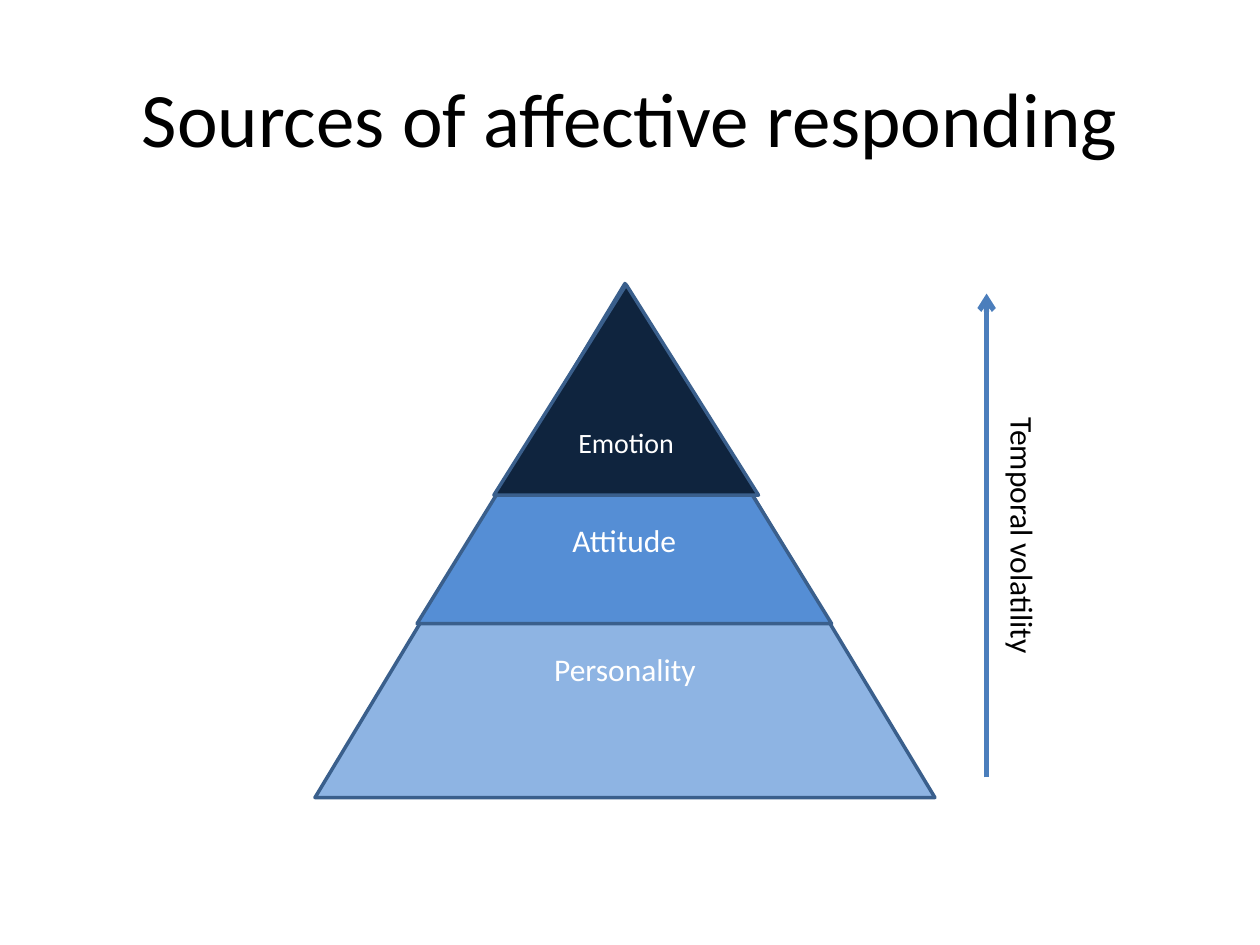
from dataclasses import dataclass

import pptx
import pptx.util
import pptx.dml.color
import pptx.enum.shapes
import pptx.enum.text
import pptx.oxml.ns
from lxml import etree

Inches = pptx.util.Inches
Pt = pptx.util.Pt


@dataclass(frozen=True)
class Theme:
    font: str = "Calibri"
    ink: str = "000000"
    on_fill: str = "FFFFFF"
    outline: str = "3A5F8C"
    arrow: str = "4B7EBC"
    title_size: int = 44
    label_size: int = 18
    small_size: int = 16
    outline_width: int = 2
    arrow_width: int = 3


@dataclass(frozen=True)
class Layer:
    label: str
    left: float
    top: float
    width: float
    height: float
    fill: str
    size: int


THEME = Theme()

# Nested triangles, the largest at the back
LAYERS = [
    Layer("Personality", 2.5, 2.25, 4.92, 4.08, "8EB4E3", THEME.label_size),
    Layer("Attitude", 3.31, 2.28, 3.29, 2.67, "558ED5", THEME.label_size),
    Layer("Emotion", 3.92, 2.26, 2.1, 1.67, "0F243E", THEME.small_size),
]


def rgb(code: str) -> pptx.dml.color.RGBColor:
    return pptx.dml.color.RGBColor.from_string(code)


def write_text(shape, text: str, size: int, color: str) -> None:
    """Put one centred line of text in a shape."""
    shape.text_frame.text = text
    para = shape.text_frame.paragraphs[0]
    para.alignment = pptx.enum.text.PP_ALIGN.CENTER
    span = para.runs[0]
    span.font.name = THEME.font
    span.font.size = Pt(size)
    span.font.color.rgb = rgb(color)


def add_title(page, text: str) -> None:
    title = page.shapes.title
    title.left, title.top = Inches(0.5), Inches(0.3)
    title.width, title.height = Inches(9), Inches(1.25)
    write_text(title, text, THEME.title_size, THEME.ink)
    title.text_frame.vertical_anchor = pptx.enum.text.MSO_ANCHOR.MIDDLE


def add_layer(page, layer: Layer) -> None:
    triangle = page.shapes.add_shape(
        pptx.enum.shapes.MSO_SHAPE.ISOSCELES_TRIANGLE,
        Inches(layer.left), Inches(layer.top),
        Inches(layer.width), Inches(layer.height))
    triangle.shadow.inherit = False
    triangle.fill.solid()
    triangle.fill.fore_color.rgb = rgb(layer.fill)
    triangle.line.color.rgb = rgb(THEME.outline)
    triangle.line.width = Pt(THEME.outline_width)
    write_text(triangle, layer.label, layer.size, THEME.on_fill)
    triangle.text_frame.vertical_anchor = pptx.enum.text.MSO_ANCHOR.MIDDLE


def add_up_arrow(page, x: float, bottom: float, top: float) -> None:
    arrow = page.shapes.add_connector(
        pptx.enum.shapes.MSO_CONNECTOR.STRAIGHT,
        Inches(x), Inches(bottom), Inches(x), Inches(top))
    arrow.line.color.rgb = rgb(THEME.arrow)
    arrow.line.width = Pt(THEME.arrow_width)
    qn = pptx.oxml.ns.qn
    properties = arrow._element.spPr
    etree.SubElement(properties.find(qn("a:ln")), qn("a:tailEnd"), type="arrow")
    etree.SubElement(properties, qn("a:effectLst"))


def add_axis_label(page, text: str) -> None:
    box = page.shapes.add_textbox(
        Inches(6.66), Inches(4.05), Inches(2.92), Inches(0.4))
    box.rotation = 90
    box.text_frame.word_wrap = True
    box.text_frame.auto_size = pptx.enum.text.MSO_AUTO_SIZE.SHAPE_TO_FIT_TEXT
    write_text(box, text, THEME.label_size, THEME.ink)


def main() -> None:
    deck = pptx.Presentation()
    deck.slide_width, deck.slide_height = Inches(10), Inches(7.5)
    page = deck.slides.add_slide(deck.slide_layouts.get_by_name("Title Only"))

    add_title(page, "Sources of affective responding")

    # Pyramid
    for layer in LAYERS:
        add_layer(page, layer)

    # Volatility axis
    add_up_arrow(page, x=7.83, bottom=6.17, top=2.33)
    add_axis_label(page, "Temporal volatility")

    deck.save("out.pptx")


if __name__ == "__main__":
    main()
